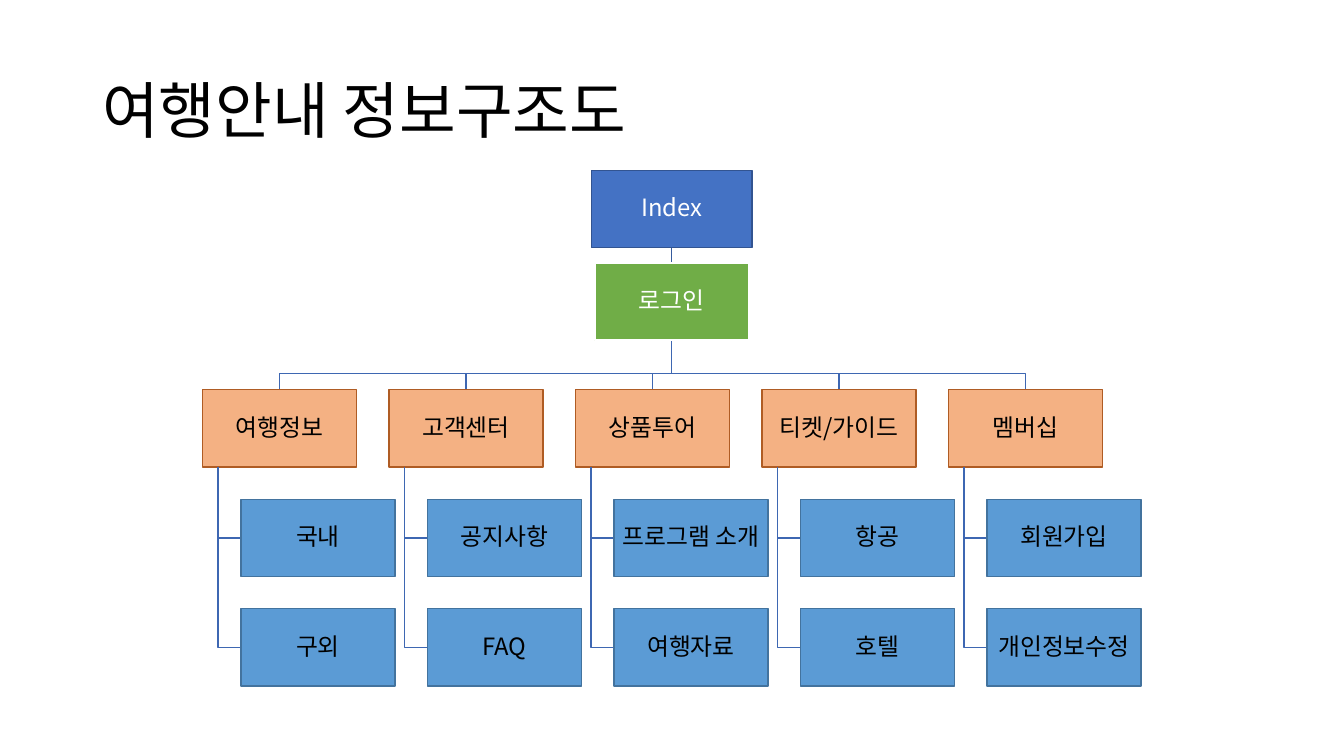
from dataclasses import dataclass

from lxml import etree
from pptx import Presentation
from pptx import util as u
from pptx.dml import color
from pptx.enum import shapes, text
from pptx.oxml import ns


@dataclass(frozen=True)
class Theme:
    font: str = "Noto Sans CJK KR"
    title_size: int = 44
    box_size: int = 17
    dark: str = "000000"
    light: str = "FFFFFF"
    branch_line: str = "3E67B2"
    stem_line: str = "365B9D"
    index: tuple = ("4472C4", "325491", 1)
    login: tuple = ("70AD47", "FFFFFF", 1.5)
    menu: tuple = ("F4B183", "AF5C24", 1)
    page: tuple = ("5B9BD5", "43739E", 1)


def rgb(value):
    return color.RGBColor.from_string(value)


def write(frame, words, *, font, size, ink, align=text.PP_ALIGN.LEFT, inset=None):
    frame.word_wrap = True
    frame.vertical_anchor = text.MSO_ANCHOR.MIDDLE
    if inset is not None:
        frame.margin_left = frame.margin_right = inset
        frame.margin_top = frame.margin_bottom = inset
    paragraph = frame.paragraphs[0]
    paragraph.alignment = align
    paragraph.line_spacing = 0.9
    run = paragraph.add_run()
    run.text = words
    run.font.size = u.Pt(size)
    run.font.color.rgb = rgb(ink)
    run.font.name = font
    etree.SubElement(run.font._element, ns.qn("a:ea"), typeface=font)


class SiteMap:
    def __init__(self, slide, theme):
        self.slide = slide
        self.theme = theme

    def title(self, words, left, top, width, height):
        heading = self.slide.shapes.add_textbox(*map(u.Cm, (left, top, width, height)))
        write(heading.text_frame, words, font=self.theme.font,
              size=self.theme.title_size, ink=self.theme.dark)

    def box(self, words, left, top, width, height, style, ink):
        fill, outline, weight = style
        node = self.slide.shapes.add_shape(
            shapes.MSO_SHAPE.RECTANGLE, *map(u.Cm, (left, top, width, height)))
        node.shadow.inherit = False
        node.fill.solid()
        node.fill.fore_color.rgb = rgb(fill)
        node.line.color.rgb = rgb(outline)
        node.line.width = u.Pt(weight)
        write(node.text_frame, words, font=self.theme.font, size=self.theme.box_size,
              ink=ink, align=text.PP_ALIGN.CENTER, inset=u.Cm(0.03))

    def elbow(self, *points):
        start, *bends = [(u.Cm(x), u.Cm(y)) for x, y in points]
        builder = self.slide.shapes.build_freeform(*start)
        builder.add_line_segments(bends, close=False)
        branch = builder.convert_to_shape()
        branch.shadow.inherit = False
        branch.fill.background()
        branch.line.color.rgb = rgb(self.theme.branch_line)
        branch.line.width = u.Pt(1)

    def stem(self, x, top, bottom):
        link = self.slide.shapes.add_connector(
            shapes.MSO_CONNECTOR.STRAIGHT, u.Cm(x), u.Cm(top), u.Cm(x), u.Cm(bottom))
        link.line.color.rgb = rgb(self.theme.stem_line)
        link.line.width = u.Pt(1)
        etree.SubElement(link._element.spPr, ns.qn("a:effectLst"))


MENUS = {
    "여행정보": ("국내", "구외"),
    "고객센터": ("공지사항", "FAQ"),
    "상품투어": ("프로그램 소개", "여행자료"),
    "티켓/가이드": ("항공", "호텔"),
    "멤버십": ("회원가입", "개인정보수정"),
}
CENTER = 16.93
BOX_W, BOX_H = 3.89, 1.95
INDEX_W, INDEX_TOP = 4.05, 4.29
LOGIN_TOP = 6.63
MENU_LEFT, MENU_TOP = 5.1, 9.82
COLUMN_STEP, ROW_STEP = 4.7, 2.76
BUS_Y = 9.41
TRUNK_INDENT, PAGE_INDENT = 0.39, 0.97

deck = Presentation()
deck.slide_width, deck.slide_height = u.Cm(33.87), u.Cm(19.05)
theme = Theme()
site = SiteMap(deck.slides.add_slide(deck.slide_layouts[6]), theme)

site.title("여행안내 정보구조도", 2.33, 1.01, 29.21, 3.68)
site.stem(CENTER, INDEX_TOP + BOX_H, LOGIN_TOP)

for column, (menu, pages) in enumerate(MENUS.items()):
    left = MENU_LEFT + column * COLUMN_STEP
    middle, trunk = left + BOX_W / 2, left + TRUNK_INDENT
    site.elbow((CENTER, LOGIN_TOP + BOX_H), (CENTER, BUS_Y),
               (middle, BUS_Y), (middle, MENU_TOP))
    site.box(menu, left, MENU_TOP, BOX_W, BOX_H, theme.menu, theme.dark)
    for row, page in enumerate(pages, start=1):
        top = MENU_TOP + row * ROW_STEP
        page_left, page_middle = left + PAGE_INDENT, top + BOX_H / 2
        site.elbow((trunk, MENU_TOP + BOX_H), (trunk, page_middle),
                   (page_left, page_middle))
        site.box(page, page_left, top, BOX_W, BOX_H, theme.page, theme.dark)

site.box("Index", CENTER - INDEX_W / 2, INDEX_TOP, INDEX_W, BOX_H,
         theme.index, theme.light)
site.box("로그인", CENTER - BOX_W / 2, LOGIN_TOP, BOX_W, BOX_H,
         theme.login, theme.light)

deck.save("out.pptx")
